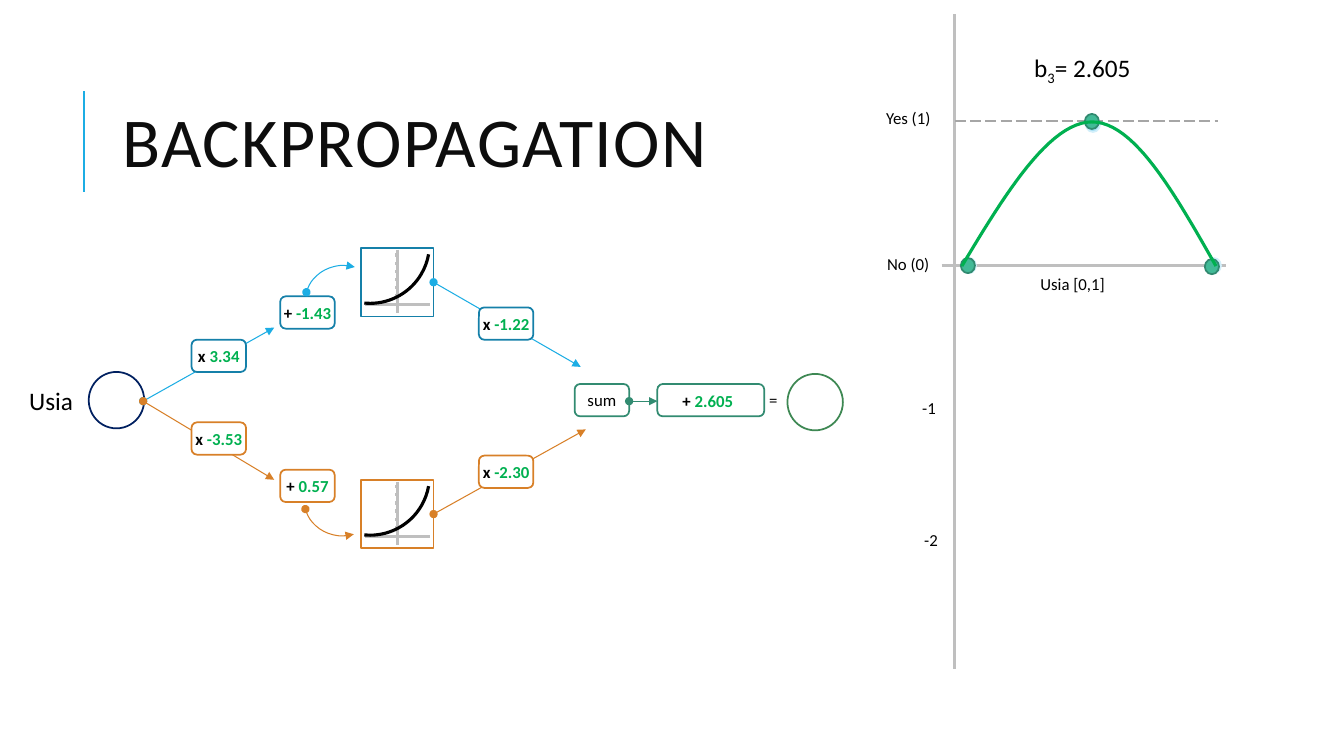
"""Build the backpropagation slide: a small network beside its fitted curve."""
from lxml import etree
from pptx import Presentation
from pptx.dml.color import RGBColor
from pptx.enum.dml import MSO_LINE
from pptx.enum.shapes import MSO_CONNECTOR, MSO_SHAPE
from pptx.enum.text import MSO_ANCHOR, PP_ALIGN
from pptx.oxml.ns import qn
from pptx.util import Inches, Pt

STRAIGHT = MSO_CONNECTOR.STRAIGHT
OVAL, RECT, ARC = MSO_SHAPE.OVAL, MSO_SHAPE.RECTANGLE, MSO_SHAPE.ARC
ROUND = MSO_SHAPE.ROUNDED_RECTANGLE
LEFT, MID, RIGHT = PP_ALIGN.LEFT, PP_ALIGN.CENTER, PP_ALIGN.RIGHT
TOP, CENTER = MSO_ANCHOR.TOP, MSO_ANCHOR.MIDDLE
DASH = MSO_LINE.LONG_DASH

BLACK, WHITE, GREY, GREEN = "000000", "FFFFFF", "BFBFBF", "00B050"
SKY, BLUE, RUST, TEAL = "1CADE4", "1580A9", "D88028", "328B71"
BOX_W, BOX_H, PAD, TEXT_H = 0.54, 0.32, 0.14, 0.3
DOT_W, DOT_H = 0.14, 0.15
PLOT_W, PLOT_H = 0.72, 0.68

TITLE = "BACKPROPAGATION"
AXES = [
    ((0.83, 1.9), (0.83, 0.9), SKY, 1.5, None),
    ((9.34, 2.63), (12.16, 2.63), GREY, 2.25, None),
    ((9.47, 0.14), (9.47, 6.64), GREY, 2.25, None),
    ((9.47, 1.2), (12.08, 1.2), "A6A6A6", 1, DASH),
]
PALE = [(11.97, 2.56), (10.77, 1.16), (9.54, 2.56)]
DOTS = [(9.53, 2.56), (11.95, 2.57), (10.76, 1.13)]
CURVE = [
    [(9.54, 2.64), (9.97, 1.92), (10.41, 1.21), (10.83, 1.21)],
    [(10.83, 1.21), (11.25, 1.21), (11.65, 1.92), (12.06, 2.64)],
]
LABELS = [
    ("No (0)", 8.7, 2.47, 0.73, LEFT, 12),
    ("Usia [0,1]", 10.22, 2.67, 1.21, LEFT, 12),
    ("Yes (1)", 8.69, 1.02, 0.7, LEFT, 12),
    ("-1", 8.68, 3.9, 0.7, RIGHT, 12),
    ("-2", 8.7, 5.21, 0.7, RIGHT, 12),
    ("=", 7.53, 3.82, 0.28, LEFT, 12),
    ("Usia", 0.19, 3.77, 0.71, LEFT, 18),
]
NODES = [(0.88, 3.69, "002060"), (7.81, 3.71, "3E8853")]
PLOTS = [(3.58, 2.46, BLUE), (3.58, 4.76, RUST)]
ARROWS = [
    ((1.42, 3.98), (2.72, 3.25), SKY),
    ((1.42, 3.98), (2.72, 4.76), RUST),
    ((4.3, 2.8), (5.76, 3.64), SKY),
    ((4.3, 5.1), (5.81, 4.26), RUST),
]
LINK = ((6.24, 3.98), (6.52, 3.98), TEAL)
BENDS = [(3.05, 2.61, 285.6, SKY, False), (3.04, 4.55, 74.4, RUST, True)]
WEIGHTS = [
    ("x ", "3.34", 1.9, 3.37, BLUE),
    ("x ", "-3.53", 1.9, 4.19, RUST),
    ("+ ", "-1.43", 2.78, 2.94, BLUE),
    ("+ ", "0.57", 2.78, 4.66, RUST),
    ("x ", "-2.30", 4.75, 4.52, RUST),
    ("x ", "-1.22", 4.75, 3.05, BLUE),
]

deck = Presentation()
deck.slide_width, deck.slide_height = Inches(13.33), Inches(7.5)
slide = deck.slides.add_slide(deck.slide_layouts[6])
shapes = slide.shapes


def tint(code):
    return RGBColor.from_string(code)


def ends(item):
    line = item.line._get_or_add_ln()
    for tag, kind in (("a:headEnd", "oval"), ("a:tailEnd", "triangle")):
        etree.SubElement(line, qn(tag), type=kind)


def rule(start, stop, color, width=0.75, dash=None, arrow=False, host=shapes):
    item = host.add_connector(STRAIGHT, *map(Inches, start + stop))
    item.line.color.rgb, item.line.width = tint(color), Pt(width)
    if dash:
        item.line.dash_style = dash
    if arrow:
        ends(item)
    etree.SubElement(item._element.spPr, qn("a:effectLst"))


def style(item, fill, edge, width):
    item.shadow.inherit = False
    if fill:
        item.fill.solid()
        item.fill.fore_color.rgb = tint(fill)
    else:
        item.fill.background()
    item.line.color.rgb, item.line.width = tint(edge), Pt(width)


def form(kind, x, y, w, h, edge, fill=WHITE, width=1.25):
    item = shapes.add_shape(kind, *map(Inches, (x, y, w, h)))
    style(item, fill, edge, width)
    return item


def write(runs, x=0, y=0, w=1, h=TEXT_H, size=12, align=LEFT, anchor=TOP,
          bold=False, space=None, track=None, item=None):
    item = item or shapes.add_textbox(*map(Inches, (x, y, w, h)))
    frame = item.text_frame
    frame.word_wrap, frame.vertical_anchor = True, anchor
    para = frame.paragraphs[0]
    para.alignment = align
    if space:
        para.line_spacing = space
    for text, color, shift in runs:
        run = para.add_run()
        run.text = text
        font = run.font
        font.name, font.size, font.bold = "Calibri", Pt(size), bold
        font.color.rgb = tint(color)
        if shift:
            font._element.set("baseline", str(shift))
        if track:
            font._element.set("spc", str(track))


def weigh(sign, value, x, y, w):
    write([(sign, BLACK, 0), (value, GREEN, 0)], x, y, w, align=MID, bold=True)


def trace(parts, color, steps=24):
    points = [parts[0][0]]
    for a, b, c, d in parts:
        for n in range(1, steps + 1):
            t = n / steps
            s = 1 - t
            mix = (s ** 3, 3 * s * s * t, 3 * s * t * t, t ** 3)
            points.append(tuple(
                sum(k * p[i] for k, p in zip(mix, (a, b, c, d)))
                for i in (0, 1)))
    points = [(Inches(x), Inches(y)) for x, y in points]
    pen = shapes.build_freeform(*points[0])
    pen.add_line_segments(points[1:], close=False)
    style(pen.convert_to_shape(), None, color, 2.25)


def plot(x, y):
    left, top, mid, base = x + 0.04, y + 0.02, x + 0.36, y + 0.56
    host = shapes.add_group_shape().shapes
    lines = [((left, base), (left + 0.65, base)),
             ((mid, top), (mid, top + 0.63))]
    for n in range(1, 7):
        across, down = left + 0.09 * n, top + 0.08 * n - 0.03
        lines.append(((across, base), (across, base + 0.02)))
        lines.append(((mid, down), (mid - 0.02, down)))
    for start, stop in lines:
        rule(start, stop, GREY, 2.25, host=host)
    bow = form(ARC, x - 0.5, y - 0.63, 1.18, 1.18, BLACK, None, 2.25)
    bow.rotation = 90
    bow.adjustments[0], bow.adjustments[1] = 168.051, 3.314


write([(TITLE, "0D0D0D", 0)], 1.12, 0.64, 10.63, 1.64, size=50,
      anchor=CENTER, space=0.8, track=100)
for start, stop, color, width, dash in AXES:
    rule(start, stop, color, width, dash)
for spots, fill, edge in ((PALE, "A4DEF4", "D2EFFA"),
                          (DOTS, "42BA97", "318A70")):
    for x, y in spots:
        form(OVAL, x, y, DOT_W, DOT_H, edge, fill)
trace(CURVE, GREEN)
write([("b", BLACK, 0), ("3", BLACK, -25000), ("= 2.605", BLACK, 0)],
      9.93, 0.47, 1.61, 0.4, size=18, align=MID)
for text, x, y, w, align, size in LABELS:
    write([(text, BLACK, 0)], x, y, w, size=size, align=align)

for x, y, color in NODES:
    form(OVAL, x, y, 0.55, 0.56, color)
for x, y, color in PLOTS:
    form(RECT, x, y, PLOT_W, PLOT_H, color)
for start, stop, color in ARROWS:
    rule(start, stop, color, arrow=True)
total = form(ROUND, 5.7, 3.81, BOX_W, BOX_H, TEAL)
write([("sum", BLACK, 0)], item=total, align=MID, anchor=CENTER)
total.text_frame.margin_left = total.text_frame.margin_right = 0
form(ROUND, 6.52, 3.81, 1.06, BOX_H, TEAL)
weigh("+ ", "2.605", 6.46, 3.83, 1.12)
rule(*LINK, arrow=True)
for sign, value, x, y, color in WEIGHTS:
    form(ROUND, x, y, BOX_W, BOX_H, color)
    weigh(sign, value, x - PAD, y + 0.01, BOX_W + 2 * PAD)
for x, y, turn, color, flip in BENDS:
    bend = form(ARC, x, y, 0.74, 0.79, color, None, 0.75)
    bend.rotation = turn
    ends(bend)
    if flip:
        bend._element.spPr.xfrm.set("flipV", "1")
for x, y, color in PLOTS:
    plot(x, y)
deck.save("out.pptx")
